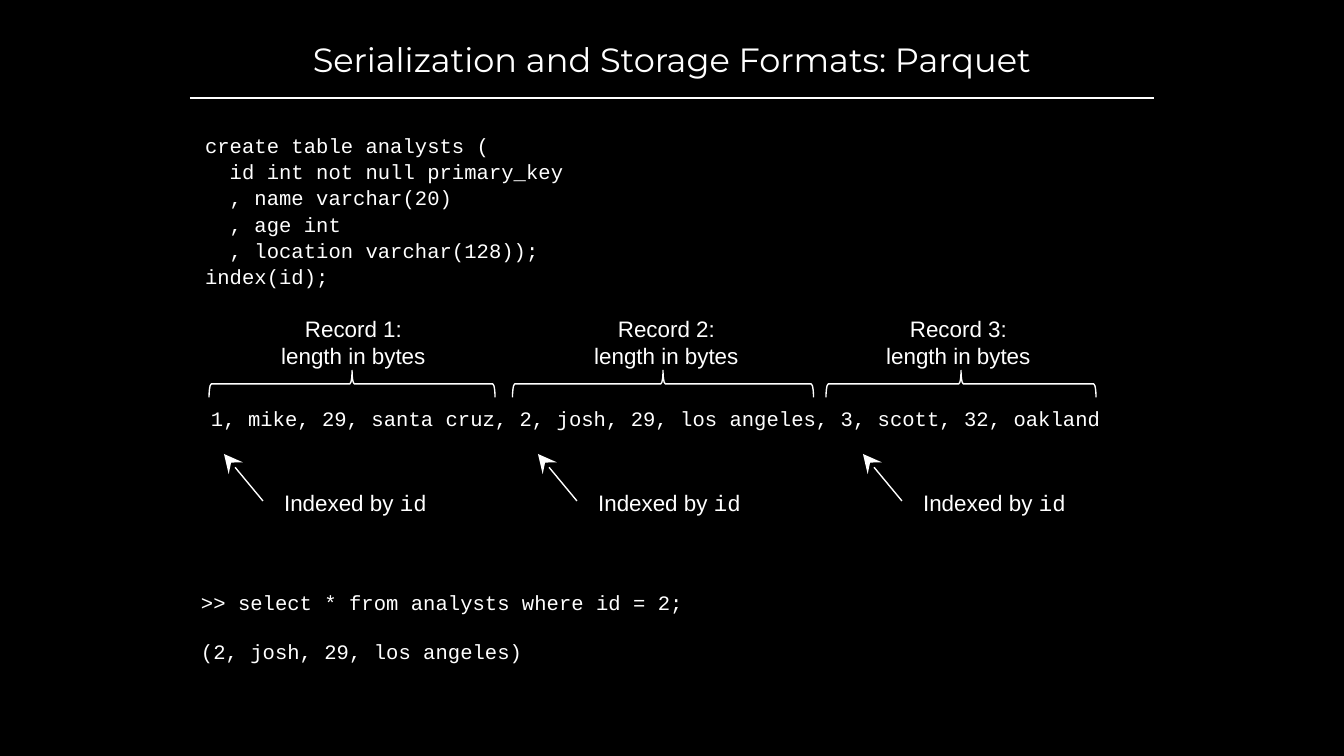
import pptx
import pptx.util
import pptx.dml.color
import pptx.enum.shapes
import pptx.enum.text
import pptx.oxml.ns
from lxml import etree

EMU_PER_PX = 914400 / 134.4
BLACK = pptx.dml.color.RGBColor(0, 0, 0)
WHITE = pptx.dml.color.RGBColor(255, 255, 255)
LEFT = pptx.enum.text.PP_ALIGN.LEFT
CENTER = pptx.enum.text.PP_ALIGN.CENTER
TOP = pptx.enum.text.MSO_ANCHOR.TOP
MIDDLE = pptx.enum.text.MSO_ANCHOR.MIDDLE
CODE_FONT = "Courier New"

SCHEMA = [
    "create table analysts (",
    "  id int not null primary_key",
    "  , name varchar(20)",
    "  , age int",
    "  , location varchar(128));",
    "index(id);",
]
STORED_ROWS = "1, mike, 29, santa cruz, 2, josh, 29, los angeles, 3, scott, 32, oakland"
QUERY = [">> select * from analysts where id = 2;", "(2, josh, 29, los angeles)"]

# label left, brace centre, brace length, arrow tip
RECORDS = [(261, 352, 286, 224), (574, 663, 301, 538), (866, 961, 270, 863)]


def px(length):
    return pptx.util.Emu(round(length * EMU_PER_PX))


def add_text(slide, lines, left, top, width, height, *, font=CODE_FONT, size=11,
             align=LEFT, anchor=TOP, inset_y=13, gap=0, spacing=None, code_tail=""):
    frame = slide.shapes.add_textbox(px(left), px(top), px(width), px(height)).text_frame
    frame.word_wrap = True
    frame.vertical_anchor = anchor
    frame.margin_left = frame.margin_right = px(13)
    frame.margin_top = frame.margin_bottom = px(inset_y)
    for index, line in enumerate(lines):
        paragraph = frame.paragraphs[0] if index == 0 else frame.add_paragraph()
        paragraph.alignment = align
        paragraph.line_spacing = spacing
        if index:
            paragraph.space_before = pptx.util.Pt(gap)
        for words, face in ((line, font), (code_tail, CODE_FONT)):
            if words:
                run = paragraph.add_run()
                run.text = words
                run.font.name = face
                run.font.size = pptx.util.Pt(size)
                run.font.color.rgb = WHITE


def draw_outline(shape):
    shape.line.color.rgb = WHITE
    shape.line.width = pptx.util.Pt(0.75)


def add_line(slide, x1, y1, x2, y2, arrow=False):
    line = slide.shapes.add_connector(
        pptx.enum.shapes.MSO_CONNECTOR.STRAIGHT, px(x1), px(y1), px(x2), px(y2))
    draw_outline(line)
    if arrow:
        etree.SubElement(line.line._get_or_add_ln(), pptx.oxml.ns.qn("a:headEnd"),
                         type="stealth", w="lg", len="lg")
    etree.SubElement(line._element.spPr, pptx.oxml.ns.qn("a:effectLst"))


def add_brace(slide, center, length):
    thickness, middle = 27, 384
    brace = slide.shapes.add_shape(
        pptx.enum.shapes.MSO_SHAPE.LEFT_BRACE, px(center - thickness / 2),
        px(middle - length / 2), px(thickness), px(length))
    brace.rotation = 90
    brace.shadow.inherit = False
    brace.fill.background()
    draw_outline(brace)


def add_record(slide, number, label_left, brace_center, brace_length, tip):
    label = {"font": "Arial", "size": 12, "align": CENTER, "anchor": MIDDLE}
    add_brace(slide, brace_center, brace_length)
    add_text(slide, [f"Record {number}: length in bytes"], label_left, 321, 185, 42, **label)
    add_line(slide, tip, 454, tip + 39, 501, arrow=True)
    add_text(slide, ["Indexed by "], tip + 40, 489, 183, 27, code_tail="id", **label)


def main():
    deck = pptx.Presentation()
    deck.slide_width, deck.slide_height = px(1344), px(756)
    slide = deck.slides.add_slide(deck.slide_layouts[6])
    slide.background.fill.solid()
    slide.background.fill.fore_color.rgb = BLACK

    add_text(slide, ["Serialization and Storage Formats: Parquet"], 190, 32, 964, 54,
             font="Montserrat", size=18, align=CENTER, inset_y=7)
    add_line(slide, 190, 98, 1154, 98)
    add_text(slide, SCHEMA, 192, 118, 960, 172, spacing=1.07)
    add_text(slide, [STORED_ROWS], 198, 394, 950, 62)
    add_text(slide, QUERY, 188, 577, 950, 136, gap=13)
    for number, record in enumerate(RECORDS, 1):
        add_record(slide, number, *record)

    deck.save("out.pptx")


if __name__ == "__main__":
    main()
